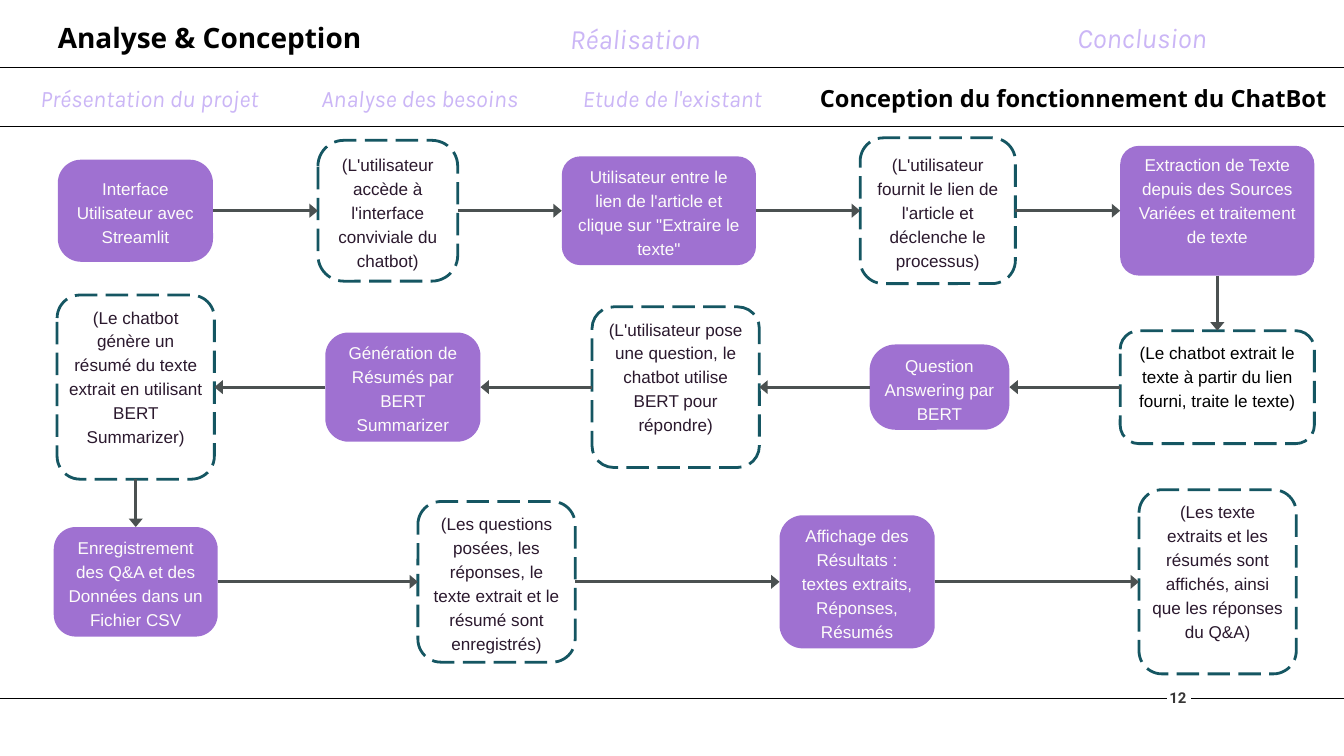
from itertools import pairwise

from lxml.etree import SubElement as Sub
from pptx import Presentation
from pptx.dml.color import RGBColor as Rgb
from pptx.enum.dml import MSO_LINE as Dash
from pptx.enum.shapes import MSO_CONNECTOR as Conn, MSO_SHAPE as Shape
from pptx.enum.text import MSO_ANCHOR as Anchor, PP_ALIGN as Align
from pptx.oxml.ns import qn
from pptx.util import Pt

HEX = {
    "step": "9F71D1", "light": "FDFCFA", "edge": "155662", "note": "2B192E",
    "arrow": "4B5151", "black": "000000", "faded": "CBB6F6", "page": "373636",
    "white": "FFFFFF",
}
WIDE, HIGH = 1440, 810
LEAD = 25.6
ROWS = [225.8, 414.8, 623.4]
TOP, LEFT, BOTTOM, RIGHT = range(4)

NODES = [
    (0, 61.9, 166.3, 109.4, 3, "light", "Interface Utilisateur avec Streamlit"),
    (0, 340.6, 149.8, 150.9, 5, "note",
     "(L'utilisateur accède à l'interface conviviale du chatbot)"),
    (0, 601.9, 208.1, 116.6, 4, "light",
     "Utilisateur entre le lien de l'article et clique sur \"Extraire le texte\""),
    (0, 921.6, 166.3, 156.2, 5, "note",
     "(L'utilisateur fournit le lien de l'article et déclenche le processus)"),
    (0, 1200.2, 208.1, 139, 5, "light",
     "Extraction de Texte depuis des Sources Variées et traitement de texte"),
    (1, 1200.2, 208.1, 121, 4, "black",
     "(Le chatbot extrait le texte à partir du lien fourni, traite le texte)"),
    (1, 931.7, 149.8, 91.4, 3, "light", "Question Answering par BERT"),
    (1, 634.3, 179.3, 172.1, 6, "note",
     "(L'utilisateur pose une question, le chatbot utilise BERT pour répondre)"),
    (1, 348.5, 166.3, 117, 4, "light", "Génération de Résumés par BERT Summarizer"),
    (1, 61.2, 168.5, 197.3, 7, "note",
     "(Le chatbot génère un résumé du texte extrait en utilisant BERT Summarizer)"),
    (2, 57.6, 175.7, 117.4, 4, "light",
     "Enregistrement des Q&A et des Données dans un Fichier CSV"),
    (2, 447.8, 168.5, 172.1, 6, "note",
     "(Les questions posées, les réponses, le texte extrait et le résumé sont enregistrés)"),
    (2, 835.2, 166.3, 142.6, 5, "light",
     "Affichage des Résultats :\ntextes extraits, Réponses, Résumés"),
    (2, 1220.4, 168.5, 197.3, 7, "note",
     "(Les texte extraits et les résumés sont affichés, ainsi que les réponses du Q&A)"),
]

ON = {"name": "Open Sans", "bold": True}
OFF = {"name": "Karla", "italic": True, "bold": False}
BIG = {"size": Pt(30)}
MID = {"size": Pt(25.3)}
TABS = [
    (61.9, 15.8, 343, "Analyse & Conception", "black", ON | BIG, 42),
    (610.6, 16.6, 159, "Réalisation", "faded", OFF | BIG, 42),
    (1154.2, 15.8, 163, "Conclusion", "faded", OFF | BIG, 42),
    (43.2, 85, 249, "Présentation du projet", "faded", OFF | MID, 35.5),
    (344.2, 85, 220, "Analyse des besoins", "faded", OFF | MID, 35.5),
    (624.2, 85, 203, "Etude de l'existant", "faded", OFF | MID, 35.5),
]


def tone(key):
    return Rgb.from_string(HEX[key])


def put(item, vals):
    for key, val in vals.items():
        setattr(item, key, val)


def write(shape, text, color, font, lead, align=Align.LEFT, side=0, top=0):
    frame = shape.text_frame
    put(frame, {
        "text": text, "word_wrap": True, "vertical_anchor": Anchor.TOP,
        "margin_left": Pt(side), "margin_right": Pt(side),
        "margin_top": Pt(top), "margin_bottom": 0,
    })
    for para in frame.paragraphs:
        put(para, {"alignment": align, "line_spacing": Pt(lead)})
        for run in para.runs:
            put(run.font, font)
            run.font.color.rgb = tone(color)


def add_node(slide, row, x, wide, high, lines, color, text):
    y = ROWS[row] - high / 2
    box = slide.shapes.add_shape(
        Shape.ROUNDED_RECTANGLE, Pt(x), Pt(y), Pt(wide), Pt(high))
    box.shadow.inherit = False
    curve = 4150 / wide
    box.adjustments[0] = curve / min(wide, high)
    if color == "light":
        box.fill.solid()
        box.fill.fore_color.rgb = tone("step")
        box.line.fill.background()
    else:
        box.fill.background()
        box.line.color.rgb = tone("edge")
        put(box.line, {"width": Pt(3), "dash_style": Dash.LONG_DASH})
    inset = curve * 0.29
    top = max(0, (high - lines * LEAD) / 2 - inset)
    write(box, text, color, {"name": "Arial", "size": Pt(18.3)}, LEAD,
          Align.CENTER, wide * 0.07 - inset, top)
    return box


def add_line(slide, color, width, ends=(0, 0, 0, 0)):
    line = slide.shapes.add_connector(Conn.STRAIGHT, *map(Pt, ends))
    Sub(line._element.spPr, qn("a:effectLst"))
    line.line.color.rgb = tone(color)
    line.line.width = Pt(width)
    return line


def add_arrow(slide, start, end, sides):
    line = add_line(slide, "arrow", 3)
    line.begin_connect(start, sides[0])
    line.end_connect(end, sides[1])
    Sub(line.line._get_or_add_ln(), qn("a:tailEnd"),
        {"type": "triangle", "w": "lg", "len": "med"})


def add_flow(slide):
    boxes = [add_node(slide, *node) for node in NODES]
    for (start, end), (old, new) in zip(pairwise(boxes), pairwise(NODES)):
        if old[0] != new[0]:
            sides = BOTTOM, TOP
        elif old[1] < new[1]:
            sides = RIGHT, LEFT
        else:
            sides = LEFT, RIGHT
        add_arrow(slide, start, end, sides)


def add_text(slide, x, y, wide, text, color, font, lead):
    box = slide.shapes.add_textbox(Pt(x), Pt(y), Pt(wide), Pt(lead))
    write(box, text, color, font, lead)
    return box


def add_title(slide):
    title = slide.shapes.title
    put(title, {"left": Pt(878.4), "top": Pt(85),
                "width": Pt(561.6), "height": Pt(35.5)})
    write(title, "Conception du fonctionnement du ChatBot", "black",
          ON | MID, 35.5)


def add_page(slide):
    box = add_text(slide, 1252.8, 735.1, 22.3, "12", "page",
                   {"name": "Roboto", "size": Pt(16), "bold": True}, 22.4)
    put(box, {"left": Pt(1250.6), "width": Pt(25.4)})
    box.text_frame.margin_left = Pt(2.2)
    box.fill.solid()
    box.fill.fore_color.rgb = tone("white")


def main():
    deck = Presentation()
    put(deck, {"slide_width": Pt(WIDE), "slide_height": Pt(HIGH)})
    slide = deck.slides.add_slide(deck.slide_layouts[5])
    add_title(slide)
    for y in (72.7, 135.4, 747.7):
        add_line(slide, "black", 0.75, (0, y, WIDE, y))
    for tab in TABS:
        add_text(slide, *tab)
    add_flow(slide)
    add_page(slide)
    deck.save("out.pptx")


if __name__ == "__main__":
    main()
